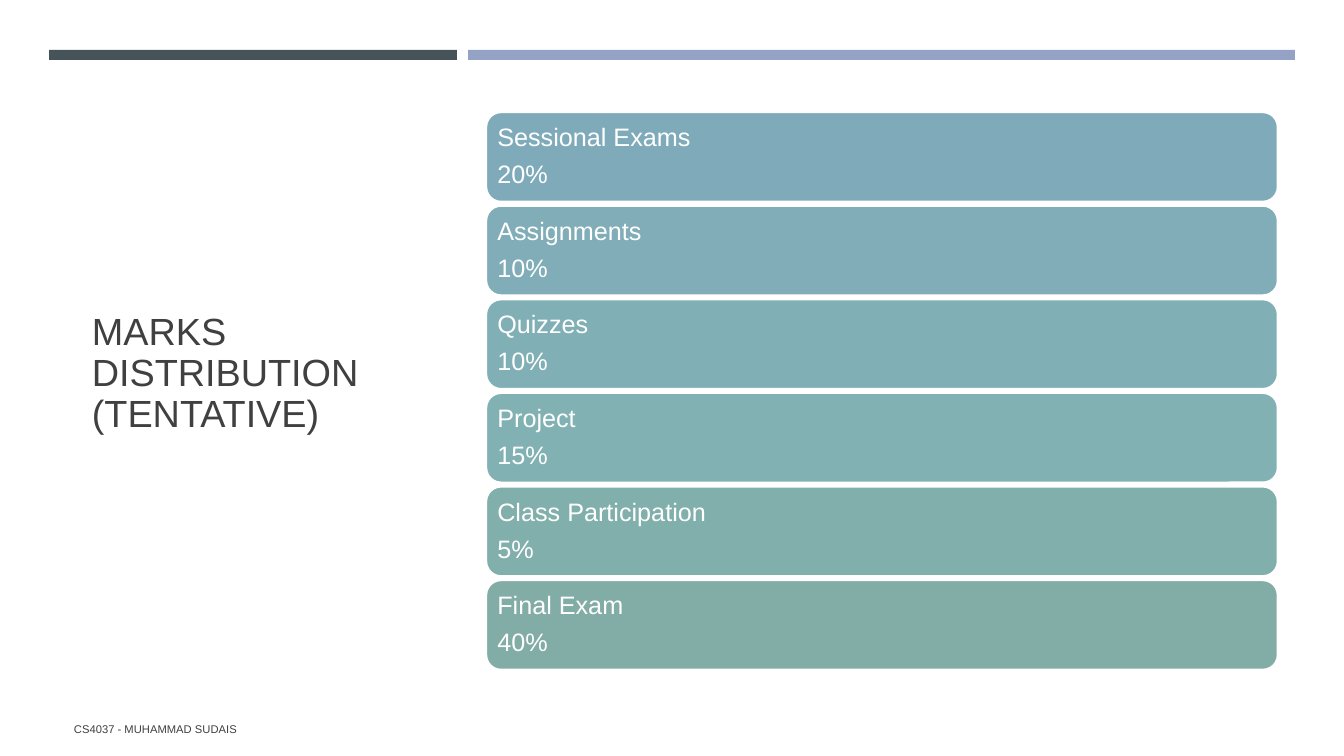
from pptx import Presentation
from pptx.dml.color import RGBColor
from pptx.enum.shapes import MSO_SHAPE
from pptx.enum.text import MSO_ANCHOR, PP_ALIGN
from pptx.util import Pt

# Content
TITLE = "MARKS DISTRIBUTION (TENTATIVE)"
FOOTER = "CS4037 - MUHAMMAD SUDAIS"
MARKS = [
    ("Sessional Exams", "20%", "7FAABA"),
    ("Assignments", "10%", "80ADB7"),
    ("Quizzes", "10%", "80AFB5"),
    ("Project", "15%", "81B1B2"),
    ("Class Participation", "5%", "81AFAC"),
    ("Final Exam", "40%", "82ACA6"),
]
BARS = [(49, 408, "465359"), (468, 827, "94A3C5")]  # left, width, colour

# Layout in px
SLIDE_W, SLIDE_H = 1344, 756
CARD_X, CARD_W, CARD_H = 486, 792, 90
FIRST_Y, LAST_Y = 112, 580
DARK, WHITE = "404040", "FFFFFF"


def px(n):
    return round(n * 914400 / 100.8)


def rgb(hex_color):
    return RGBColor.from_string(hex_color)


def add_box(kind, x, y, w, h, fill):
    sp = s.shapes.add_shape(kind, px(x), px(y), px(w), px(h))
    sp.shadow.inherit = False
    sp.fill.solid()
    sp.fill.fore_color.rgb = rgb(fill)
    sp.line.fill.background()
    return sp


def write(sp, lines, size, color, spacing=1.0, after=0):
    tf = sp.text_frame
    tf.word_wrap = True
    tf.vertical_anchor = MSO_ANCHOR.MIDDLE
    for i, line in enumerate(lines):
        p = tf.paragraphs[0] if i == 0 else tf.add_paragraph()
        p.alignment = PP_ALIGN.LEFT
        p.line_spacing = spacing
        p.space_after = Pt(after)
        r = p.add_run()
        r.text = line
        r.font.name = "Arial"
        r.font.size = Pt(size)
        r.font.color.rgb = rgb(color)
    return tf


prs = Presentation()
prs.slide_width, prs.slide_height = px(SLIDE_W), px(SLIDE_H)
s = prs.slides.add_slide(prs.slide_layouts[6])

# Title
title = s.shapes.add_textbox(px(82), px(115), px(337), px(519))
write(title, [TITLE], 27, DARK, spacing=0.9)

# Top bars
for x, w, color in BARS:
    add_box(MSO_SHAPE.RECTANGLE, x, 50, w, 10, color)

# Mark cards
pitch = (LAST_Y - FIRST_Y) / (len(MARKS) - 1)
for i, (name, share, color) in enumerate(MARKS):
    card = add_box(MSO_SHAPE.ROUNDED_RECTANGLE, CARD_X, FIRST_Y + i * pitch,
                   CARD_W, CARD_H, color)
    card.line.color.rgb = rgb(WHITE)
    card.line.width = Pt(1.75)
    tf = write(card, [name, share], 18, WHITE, spacing=0.9, after=7)
    tf.margin_left = tf.margin_right = px(7)
    tf.margin_top = tf.margin_bottom = px(7)

# Footer
footer = s.shapes.add_textbox(px(64), px(709), px(762), px(40))
write(footer, [FOOTER], 8, DARK)

prs.save("out.pptx")
